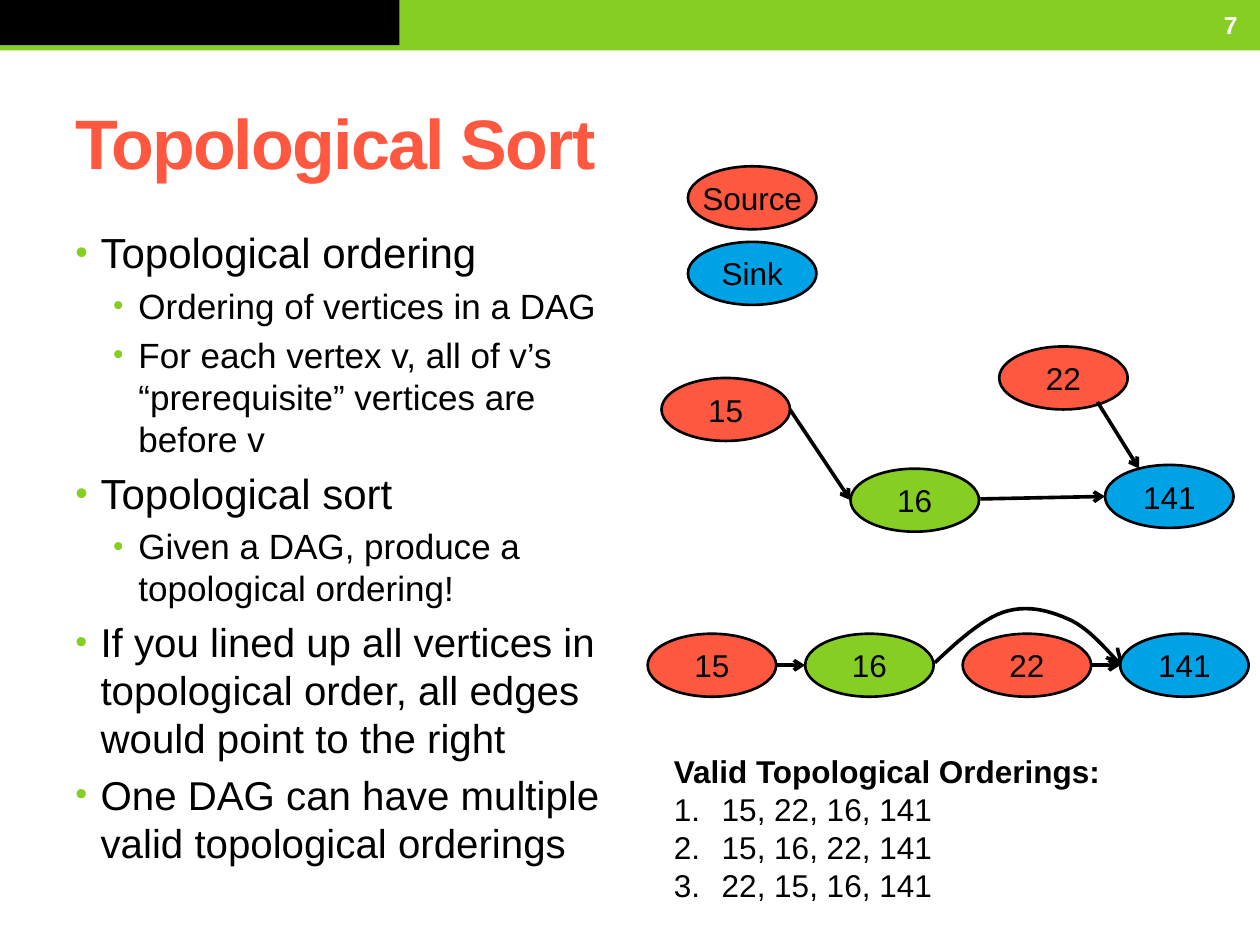
from lxml import etree
from pptx import Presentation
from pptx import util as u
from pptx.dml.color import RGBColor
from pptx.enum import shapes, text
from pptx.oxml.ns import qn

COLORS = {"green": "86CE24", "red": "FF5840", "blue": "00A2E6",
          "black": "000000", "white": "FFFFFF"}
FONT = "Arial"
NODE_W, NODE_H = 1.02, 0.5


def rgb(name):
    return RGBColor.from_string(COLORS[name])


def style_runs(paragraph, size, color="black", bold=False):
    for run in paragraph.runs:
        run.font.name, run.font.size, run.font.bold = FONT, u.Pt(size), bold
        run.font.color.rgb = rgb(color)


def add_text(parent, box, lines, anchor=text.MSO_ANCHOR.TOP):
    frame = parent.add_textbox(*map(u.Inches, box)).text_frame
    frame.word_wrap, frame.vertical_anchor = True, anchor
    frame.text = "\n".join(lines)
    return frame.paragraphs


def add_bullet(paragraph, indent, hanging, kind, **attributes):
    props = paragraph._p.get_or_add_pPr()
    props.set("marL", str(u.Inches(indent)))
    props.set("indent", str(-u.Inches(hanging)))
    if kind == "buChar":
        color = etree.SubElement(props, qn("a:buClr"))
        etree.SubElement(color, qn("a:srgbClr"), val=COLORS["green"])
        etree.SubElement(props, qn("a:buSzPct"), val="85000")
        etree.SubElement(props, qn("a:buFont"), typeface=FONT)
    etree.SubElement(props, qn(f"a:{kind}"), **attributes)


def add_bar(parent, box, color):
    bar = parent.add_shape(shapes.MSO_SHAPE.RECTANGLE, *map(u.Inches, box))
    bar.shadow.inherit = False
    bar.fill.solid()
    bar.fill.fore_color.rgb = rgb(color)
    bar.line.fill.background()


def add_node(parent, left, top, label, color):
    node = parent.add_shape(shapes.MSO_SHAPE.OVAL,
                            *map(u.Inches, (left, top, NODE_W, NODE_H)))
    node.shadow.inherit = False
    node.fill.solid()
    node.fill.fore_color.rgb = rgb(color)
    node.line.color.rgb, node.line.width = rgb("black"), u.Pt(1.5)
    frame = node.text_frame
    frame.word_wrap, frame.vertical_anchor = False, text.MSO_ANCHOR.MIDDLE
    frame.text = label
    frame.paragraphs[0].alignment = text.PP_ALIGN.CENTER
    style_runs(frame.paragraphs[0], 18)


def style_edge(edge):
    edge.line.color.rgb, edge.line.width = rgb("black"), u.Pt(2.08)


def add_arrow(parent, *ends):
    arrow = parent.add_connector(shapes.MSO_CONNECTOR.STRAIGHT, *map(u.Inches, ends))
    style_edge(arrow)
    etree.SubElement(arrow.line._get_or_add_ln(), qn("a:tailEnd"), type="arrow")
    etree.SubElement(arrow._element.spPr, qn("a:effectLst"))


def add_curve(parent, left, top, start, *segments, steps=12):
    """Draw cubic segments, given relative to left and top, as a fine polyline."""
    points = [start]
    for c1, c2, end in segments:
        begin = points[-1]
        for step in range(1, steps + 1):
            t = step / steps
            weights = ((1 - t) ** 3, 3 * t * (1 - t) ** 2, 3 * t * t * (1 - t), t ** 3)
            points.append(tuple(sum(w * p[axis] for w, p in zip(weights, (begin, c1, c2, end)))
                                for axis in (0, 1)))
    points = [(u.Inches(left + x), u.Inches(top + y)) for x, y in points]
    builder = parent.build_freeform(*points[0])
    builder.add_line_segments(points[1:], close=False)
    curve = builder.convert_to_shape()
    curve.shadow.inherit = False
    curve.fill.background()
    style_edge(curve)


def draw_header(parent, left, top, width):
    add_bar(parent, (left, top, width, 0.4), "green")
    add_bar(parent, (left, top, 3.17, 0.36), "black")
    number = add_text(parent, (left + width - 1.25, top + 0.02, 1.17, 0.36), ["7"],
                      text.MSO_ANCHOR.MIDDLE)[0]
    number.alignment = text.PP_ALIGN.RIGHT
    style_runs(number, 14, "white", True)


def draw_title(parent, box):
    title = add_text(parent, box, ["Topological Sort"], text.MSO_ANCHOR.MIDDLE)[0]
    style_runs(title, 40, "red", True)
    title.runs[0].font._element.set("spc", "-100")


def draw_body(parent, box):
    # Level, size, wording
    points = [
        (0, 24, "Topological ordering"),
        (1, 20, "Ordering of vertices in a DAG"),
        (1, 20, "For each vertex v, all of v’s “prerequisite” vertices are before v"),
        (0, 24, "Topological sort"),
        (1, 20, "Given a DAG, produce a topological ordering!"),
        (0, 23, "If you lined up all vertices in topological order, "
                "all edges would point to the right"),
        (0, 23, "One DAG can have multiple valid topological orderings"),
    ]
    paragraphs = add_text(parent, box, [wording for _, _, wording in points])
    for paragraph, (level, size, _) in zip(paragraphs, points):
        paragraph.level = level
        paragraph.space_before = u.Pt(size * 0.2)
        add_bullet(paragraph, 0.2 + 0.3 * level, 0.2, "buChar", char="•")
        style_runs(paragraph, size)


def draw_legend(parent, left, top):
    for row, (label, color) in enumerate([("Source", "red"), ("Sink", "blue")]):
        add_node(parent, left, top + 0.6 * row, label, color)


def draw_graph(parent, left, top):
    graph = parent.add_group_shape().shapes
    for x, y, label, color in [(1.5, 0.97, "16", "green"), (0, 0.25, "15", "red"),
                               (3.52, 0.94, "141", "blue"), (2.68, 0, "22", "red")]:
        add_node(graph, left + x, top + y, label, color)
    for x1, y1, x2, y2 in [(1.02, 0.5, 1.5, 1.22), (2.53, 1.21, 3.52, 1.19),
                           (3.46, 0.44, 3.79, 0.97)]:
        add_arrow(graph, left + x1, top + y1, left + x2, top + y2)


def draw_ordering(parent, left, top, pitch=1.25):
    row = parent.add_group_shape().shapes
    order = [("15", "red"), ("16", "green"), ("22", "red"), ("141", "blue")]
    for place, (label, color) in enumerate(order):
        add_node(row, left + pitch * place, top, label, color)
    middle = top + NODE_H / 2
    for place in (0, 2):
        start = left + pitch * place
        add_arrow(row, start + NODE_W, middle, start + pitch, middle)
    # Edge from 16 over 22 to 141, with its open head
    add_curve(row, left, top, (2.28, 0.23),
              ((2.46, 0.06), (2.65, -0.11), (2.82, -0.17)),
              ((3, -0.23), (3.17, -0.19), (3.33, -0.12)),
              ((3.48, -0.06), (3.61, 0.09), (3.74, 0.23)))
    add_curve(row, left, top, (3.73, 0.11),
              ((3.73, 0.15), (3.76, 0.19), (3.74, 0.22)),
              ((3.73, 0.24), (3.7, 0.21), (3.68, 0.2)),
              ((3.67, 0.2), (3.64, 0.19), (3.64, 0.19)))


def draw_answers(parent, box):
    heading, *answers = add_text(parent, box, [
        "Valid Topological Orderings:",
        "15, 22, 16, 141", "15, 16, 22, 141", "22, 15, 16, 141"])
    style_runs(heading, 18, bold=True)
    for answer in answers:
        add_bullet(answer, 0.38, 0.38, "buAutoNum", type="arabicPeriod")
        style_runs(answer, 18)


deck = Presentation()
deck.slide_width, deck.slide_height = u.Inches(10), u.Inches(7.5)
canvas = deck.slides.add_slide(deck.slide_layouts[6]).shapes
draw_header(canvas, 0, 0, 10)
draw_title(canvas, (0.5, 0.58, 9, 1.08))
draw_body(canvas, (0.5, 1.75, 4.58, 5.58))
draw_graph(canvas, 5.25, 2.75)
draw_answers(canvas, (5.25, 5.92, 4, 1.31))
draw_legend(canvas, 5.46, 1.32)
draw_ordering(canvas, 5.14, 5.03)
deck.save("out.pptx")
